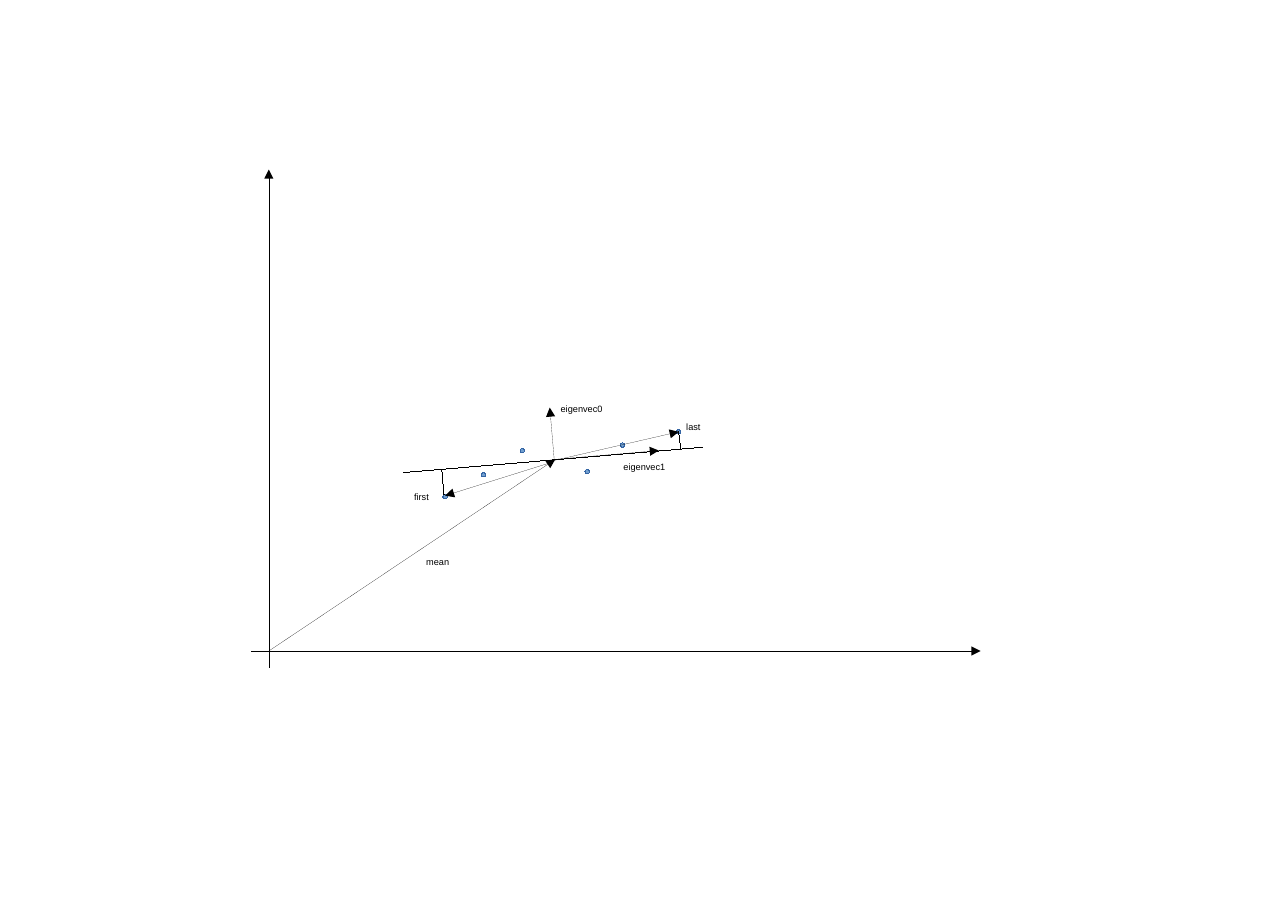
from lxml import etree
from pptx import Presentation
from pptx.dml.color import RGBColor
from pptx.enum import shapes, text
from pptx.oxml.ns import qn
from pptx.util import Inches, Pt

COLORS = {"ink": "000000", "dot": "729FCF", "dot_edge": "3465A4"}
RGB = {name: RGBColor.from_string(value) for name, value in COLORS.items()}
DOT = 0.04

prs = Presentation()
prs.slide_width, prs.slide_height = Inches(11.69), Inches(8.27)
s = prs.slides.add_slide(prs.slide_layouts[6])


def set_hairline(sp, color):
    """Colour the outline and write its zero width, which line.width leaves out."""
    sp.line.color.rgb = RGB[color]
    ln = sp._element.spPr.find(qn("a:ln"))
    ln.set("w", "0")
    return ln


def add_line(start, end, arrow):
    line = s.shapes.add_connector(
        shapes.MSO_CONNECTOR.STRAIGHT, *(Inches(v) for v in (*start, *end)))
    ln = set_hairline(line, "ink")
    if arrow:
        etree.SubElement(ln, qn("a:tailEnd"), type="triangle")
    etree.SubElement(line._element.spPr, qn("a:effectLst"))


# Coordinate axes
add_line((2.28, 5.91), (8.9, 5.91), True)
add_line((2.44, 6.06), (2.44, 1.54), True)

# Data points, by top left corner
for x, y in [(4.02, 4.49), (4.37, 4.29), (4.72, 4.07),
             (5.31, 4.26), (5.63, 4.02), (6.14, 3.9)]:
    sp = s.shapes.add_shape(shapes.MSO_SHAPE.OVAL, Inches(x), Inches(y),
                            Inches(DOT), Inches(DOT))
    sp.shadow.inherit = False
    sp.fill.solid()
    sp.fill.fore_color.rgb = RGB["dot"]
    set_hairline(sp, "dot_edge")

# Fitted line, projections onto it, and vectors
for start, end, arrow in [
    ((3.66, 4.29), (6.38, 4.06), False),  # fitted line
    ((2.44, 5.91), (5.04, 4.17), True),   # mean
    ((4.03, 4.49), (4.01, 4.26), False),  # projection of first
    ((5.04, 4.17), (5.98, 4.09), True),   # eigenvec1
    ((5.03, 4.17), (4.99, 3.7), True),    # eigenvec0
    ((6.16, 3.92), (6.18, 4.08), False),  # projection of last
    ((5.03, 4.18), (6.16, 3.92), True),   # last
    ((5.03, 4.19), (4.04, 4.5), True),    # first
]:
    add_line(start, end, arrow)

label_frame = {
    "margin_left": Inches(0.1), "margin_right": Inches(0.1),
    "margin_top": Inches(0.05), "margin_bottom": Inches(0.05),
    "word_wrap": False, "auto_size": text.MSO_AUTO_SIZE.SHAPE_TO_FIT_TEXT,
}
label_font = {"name": "Arial", "size": Pt(6)}

for label, x, y, width in [
    ("first", 3.66, 4.41, 0.35),
    ("last", 6.13, 3.78, 0.35),
    ("mean", 3.77, 5, 0.42),
    ("eigenvec0", 4.99, 3.61, 0.59),
    ("eigenvec1", 5.56, 4.14, 0.59),
]:
    tf = s.shapes.add_textbox(Inches(x), Inches(y), Inches(width), Inches(0.19)).text_frame
    for name, value in label_frame.items():
        setattr(tf, name, value)
    r = tf.paragraphs[0].add_run()
    r.text = label
    for name, value in label_font.items():
        setattr(r.font, name, value)
    r.font.color.rgb = RGB["ink"]

prs.save("out.pptx")
